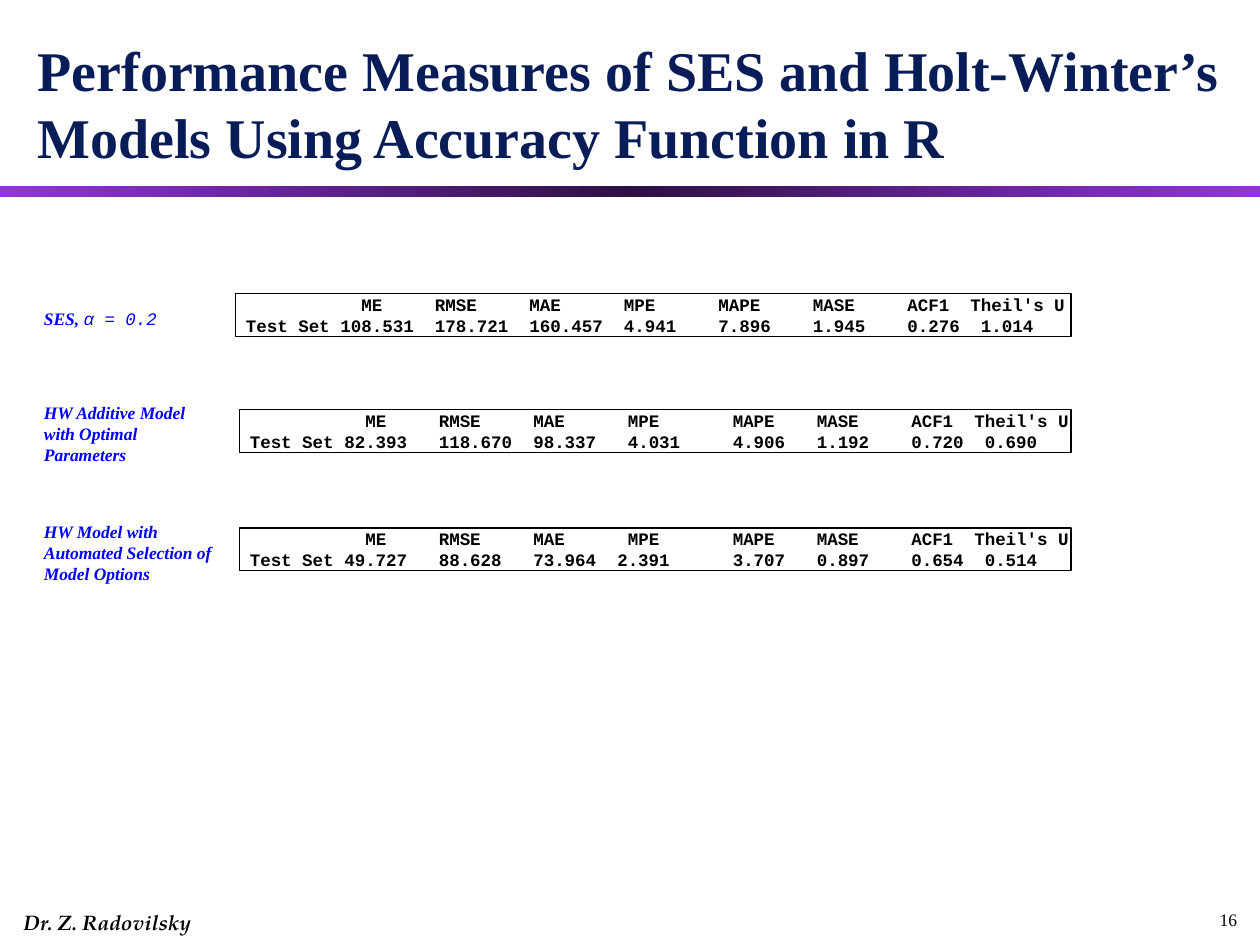
from copy import deepcopy
from pptx import Presentation
from pptx.dml.color import RGBColor as Rgb
from pptx.enum.shapes import MSO_SHAPE as Shape
from pptx.enum.text import MSO_ANCHOR as Anchor, PP_ALIGN as Align
from pptx.oxml.ns import qn
from pptx.util import Pt
from lxml.etree import SubElement

# Content
TITLE = ("Performance Measures of SES and Holt-Winter’s "
         "Models Using Accuracy Function in R")
AUTHOR, PAGE = "Dr. Z. Radovilsky", "16"
HEADS = ["ME", "RMSE", "MAE", "MPE", "MAPE", "MASE", "ACF1", "Theil's U"]

# Each model: label runs, top, left, label height, values,
# then the character columns where headings and values start
HW_COLS = [12, 19, 28, 37, 47, 55, 64, 70]
MODELS = [
    (["SES, ", "α = 0.2"], 167.8, 134.6, 19.4,
     ["108.531", "178.721", "160.457", "4.941", "7.896", "1.945", "0.276", "1.014"],
     [12, 19, 28, 37, 46, 55, 64, 70], [10, 19, 28, 37, 46, 55, 64, 71]),
    (["HW Additive Model with Optimal Parameters"], 234, 136.8, 43.9,
     ["82.393", "118.670", "98.337", "4.031", "4.906", "1.192", "0.720", "0.690"],
     HW_COLS, [10, 19, 28, 37, 47, 55, 64, 71]),
    (["HW Model with Automated Selection of Model Options"], 301.7, 136.8, 43.9,
     ["49.727", "88.628", "73.964", "2.391", "3.707", "0.897", "0.654", "0.514"],
     HW_COLS, [10, 19, 28, 36, 47, 55, 64, 71]),
]

COLORS = {"title": "081D58", "label": "0000FF", "ink": "000000",
          "paper": "FFFFFF", "edge": "9234DB", "mid": "2E1045"}
SERIF, MONO, SCRIPT = "Times New Roman", "Courier New", "TeX Gyre Pagella"
CHAR = 6            # width of one 10 pt Courier character
RIGHT, BOX_H = 612, 24.5

deck = Presentation()
deck.slide_width, deck.slide_height = Pt(720), Pt(540)
slide = deck.slides.add_slide(deck.slide_layouts[6])


def style(run, font, size, color, bold=False, italic=False):
    face = run.font
    face.name, face.size = font, Pt(size)
    face.bold, face.italic = bold, italic
    face.color.rgb = Rgb.from_string(COLORS[color])


def add_text(box, parts, anchor=Anchor.TOP):
    """Add a text box; each part is its text followed by its style."""
    frame = slide.shapes.add_textbox(*map(Pt, box)).text_frame
    frame.word_wrap, frame.vertical_anchor = True, anchor
    for text, *look in parts:
        run = frame.paragraphs[0].add_run()
        run.text = text
        style(run, *look)


def add_rect(*box):
    rect = slide.shapes.add_shape(Shape.RECTANGLE, *map(Pt, box))
    rect.shadow.inherit = False
    return rect


def set_row(para, cells, cols):
    """Start each cell at its character column by means of tab stops."""
    para.text = "".join("\t" + cell for cell in cells)
    para.alignment = Align.LEFT
    tabs = SubElement(para._p.get_or_add_pPr(), qn("a:tabLst"))
    for col in cols:
        SubElement(tabs, qn("a:tab"), pos=str(Pt(col * CHAR)), algn="l")
    for run in para.runs:
        style(run, MONO, 10, "ink", True)


# Gradient bar under the title
bar = add_rect(0, 106.5, 720, 6)
bar.line.fill.background()
bar.fill.gradient()
bar.fill.gradient_angle = 0
first = bar._element.spPr.find(".//" + qn("a:gs"))
first.addnext(deepcopy(first))
for stop, (pos, name) in zip(bar.fill.gradient_stops,
                             [(0, "edge"), (0.5, "mid"), (1, "edge")]):
    stop.position = pos
    stop.color.rgb = Rgb.from_string(COLORS[name])

# Title and footer
add_text((14.4, 11.5, 692, 89.3), [(TITLE, SERIF, 32, "title", True)], Anchor.BOTTOM)
add_text((6.5, 516.2, 150, 21.6), [(AUTHOR, SCRIPT, 12, "ink", True, True)])
add_text((689.8, 516.2, 30.2, 19.4), [(PAGE, SERIF, 10, "ink")])

# Models: label on the left, boxed measures on the right
for label, top, left, high, values, head_cols, cols in MODELS:
    looks = [(SERIF, 10, "label", True, True), (MONO, 10, "label", False, True)]
    mid = top + BOX_H / 2 + 2
    add_text((18, mid - high / 2, 113.8, high),
             [(text, *look) for text, look in zip(label, looks)])

    box = add_rect(left, top, RIGHT - left, BOX_H)
    box.fill.solid()
    box.fill.fore_color.rgb = Rgb.from_string(COLORS["paper"])
    box.line.color.rgb = Rgb.from_string(COLORS["ink"])
    box.line.width = Pt(0.75)
    frame = box.text_frame
    frame.word_wrap, frame.vertical_anchor = True, Anchor.MIDDLE
    frame.margin_left = frame.margin_right = 0
    frame.margin_top = frame.margin_bottom = 0
    set_row(frame.paragraphs[0], HEADS, head_cols)
    set_row(frame.add_paragraph(), ["Test Set"] + values, [1] + cols)

deck.save("out.pptx")
